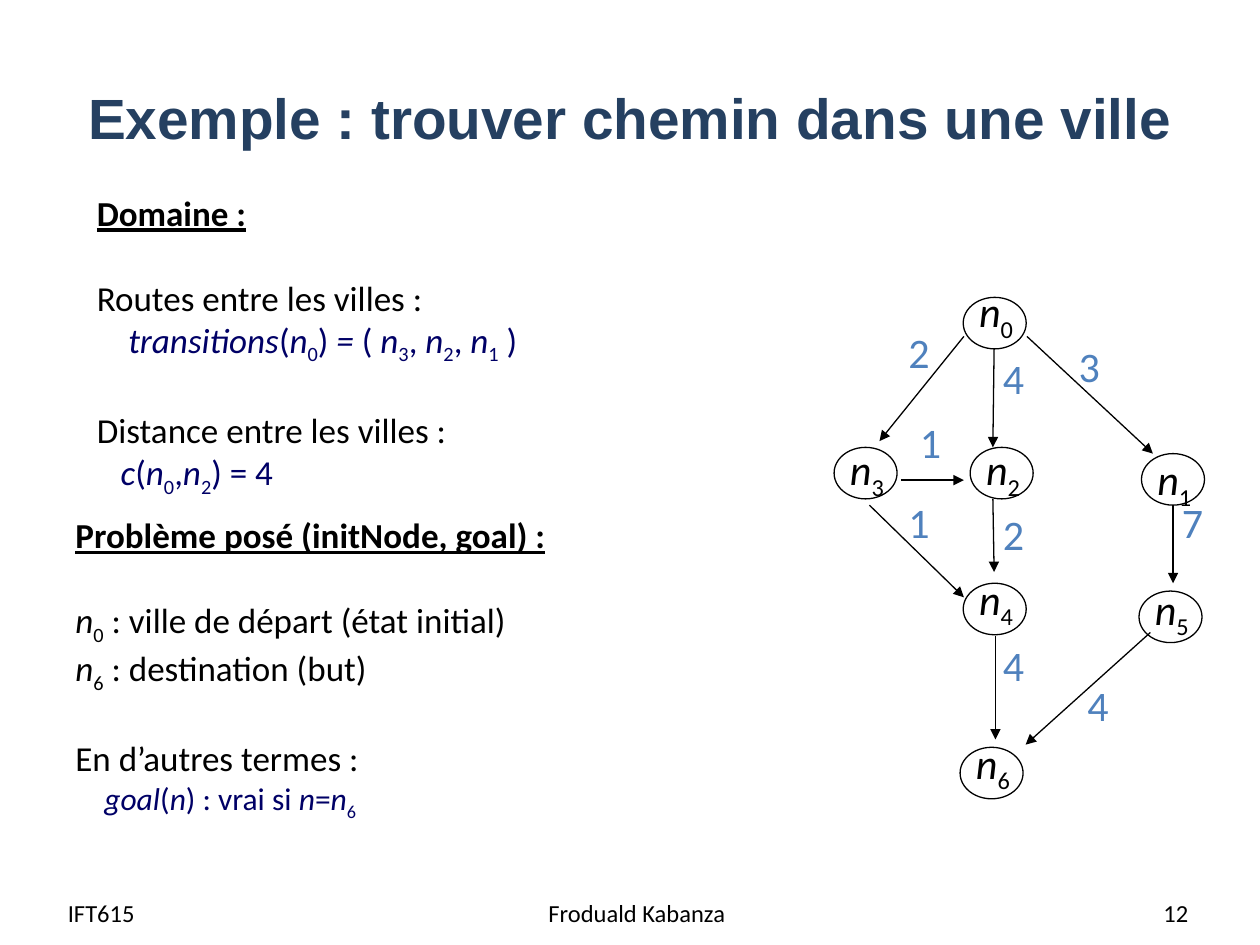
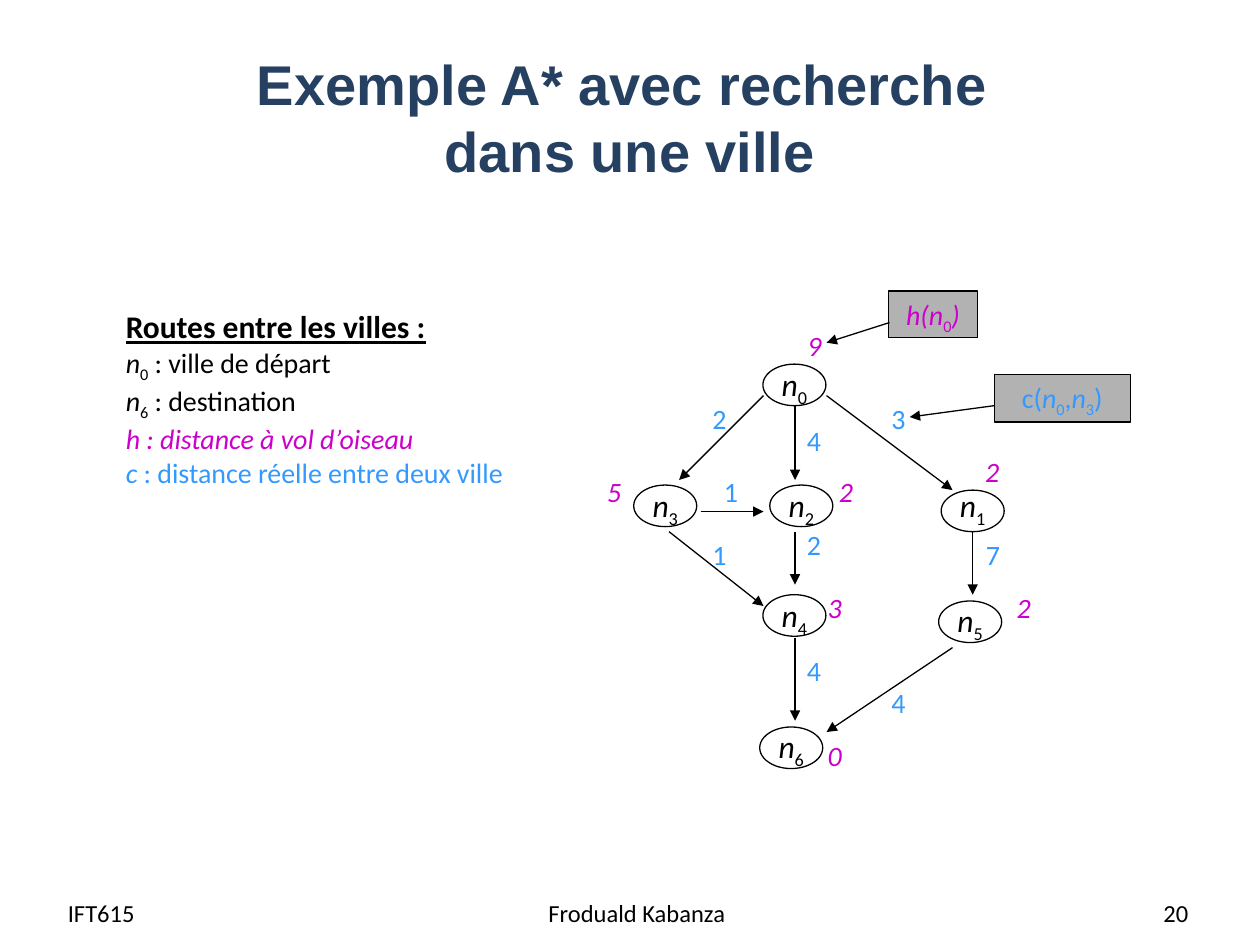
from dataclasses import dataclass

from lxml.etree import SubElement
from pptx import Presentation
from pptx.dml.color import RGBColor
from pptx.enum.shapes import MSO_CONNECTOR, MSO_SHAPE
from pptx.enum.text import MSO_ANCHOR, MSO_AUTO_SIZE, PP_ALIGN
from pptx.oxml.ns import qn
from pptx.util import Inches, Pt

COLUMNS, ROWS = 100, 75
CELL = Inches(0.1)
COLORS = {
    "title": "254061",
    "text": "000000",
    "formula": "000066",
    "road": "4F81BD",
    "cost": "3399FF",
    "heuristic": "CC00CC",
    "callout": "B2B2B2",
}

NODE_SPOTS = {
    "0": (10.25, 0), "3": (0, 9.6), "2": (10.8, 9.6), "1": (24.4, 10),
    "4": (10.25, 18.3), "6": (10, 28.8), "5": (24.2, 18.8),
}
NODE_WIDTH, NODE_HEIGHT = 5, 3.3
EDGES = {
    "02": (12.8, 3.3, 12.8, 9.2),
    "01": (15.3, 2.5, 25.3, 10),
    "03": (10.3, 2.5, 3.6, 9.2),
    "32": (5.3, 11.7, 10.3, 11.7),
    "34": (2.8, 13.3, 10.3, 19.2),
    "24": (12.8, 13.3, 12.8, 17.5),
    "46": (12.8, 21.7, 12.8, 28.3),
    "15": (26.9, 13.3, 26.9, 18.3),
    "56": (25.3, 22.5, 15.3, 29.2),
}
EDGE_COSTS = {"03": "2", "01": "3", "32": "1", "34": "1", "15": "7",
              "24": "2", "46": "4", "56": "4", "02": "4"}


@dataclass
class Box:
    left: float
    top: float
    width: float
    height: float

    def inside(self, x, y, width, height):
        return Box(self.left + x, self.top + y, width, height)

    def lengths(self):
        return [round(v * CELL) for v in (self.left, self.top, self.width, self.height)]


def rgb(name):
    return RGBColor.from_string(COLORS[name])


def add_piece(paragraph, text, size, color, font, bold, underline, italic, lowered):
    if not text:
        return
    run = paragraph.add_run()
    run.text = text
    run.font.size = Pt(size)
    run.font.name = font
    run.font.bold = bold
    run.font.italic = italic
    run.font.underline = underline
    run.font.color.rgb = rgb(color)
    if lowered:
        run._r.get_or_add_rPr().set("baseline", "-25000")


def format_line(paragraph, text, size=16, color="text", font="Calibri", bold=False,
                underline=False, align=PP_ALIGN.LEFT, indent=0, gap=0):
    paragraph.alignment = align
    if indent:
        paragraph._p.get_or_add_pPr().set("marL", str(Inches(indent)))
    if gap:
        paragraph.space_before = Pt(gap)
    look = (size, color, font, bold, underline)
    for row, part in enumerate(text.split("\n")):
        if row:
            paragraph.add_line_break()
        for turn, phrase in enumerate(part.split("/")):
            italic = turn % 2 == 1
            start, *tails = phrase.split("_")
            add_piece(paragraph, start, *look, italic, False)
            for tail in tails:
                add_piece(paragraph, tail[0], *look, False, True)
                add_piece(paragraph, tail[1:], *look, italic, False)


def write(frame, lines, wrap=True, grow=True, anchor=MSO_ANCHOR.TOP, **style):
    frame.word_wrap = wrap
    frame.auto_size = MSO_AUTO_SIZE.SHAPE_TO_FIT_TEXT if grow else MSO_AUTO_SIZE.NONE
    frame.vertical_anchor = anchor
    for row, (text, changes) in enumerate(lines):
        paragraph = frame.add_paragraph() if row else frame.paragraphs[0]
        format_line(paragraph, text, **{**style, **changes})


def add_text(slide, box, lines, **style):
    if isinstance(lines, str):
        lines = [(lines, {})]
    write(slide.shapes.add_textbox(*box.lengths()).text_frame, lines, **style)


def add_mark(slide, box, text, **style):
    add_text(slide, box, text, wrap=False, align=PP_ALIGN.CENTER, **style)


def add_outline(slide, kind, box, fill=None):
    shape = slide.shapes.add_shape(kind, *box.lengths())
    shape.shadow.inherit = False
    if fill:
        shape.fill.solid()
        shape.fill.fore_color.rgb = rgb(fill)
    else:
        shape.fill.background()
    shape.line.color.rgb = rgb("text")
    shape.line.width = Pt(0.75)
    return shape


def add_arrow(slide, box, x1, y1, x2, y2):
    ends = (box.left + x1, box.top + y1, box.left + x2, box.top + y2)
    arrow = slide.shapes.add_connector(MSO_CONNECTOR.STRAIGHT, *[round(v * CELL) for v in ends])
    arrow.line.color.rgb = rgb("text")
    arrow.line.width = Pt(0.75)
    SubElement(arrow.line._get_or_add_ln(), qn("a:tailEnd"), type="triangle")
    SubElement(arrow._element.spPr, qn("a:effectLst"))


def add_graph(slide, box, label_drops, cost_spots, label_size, label_width, label_shift,
              cost_size, cost_width, cost_color, stretch=1, edge_changes=None):
    label_height, cost_height = label_size / 4.8 + 0.1, cost_size / 6 + 1
    for node, (x, y) in NODE_SPOTS.items():
        place = box.inside(x, y * stretch, NODE_WIDTH, NODE_HEIGHT * stretch)
        add_outline(slide, MSO_SHAPE.OVAL, place)
        label_left = (NODE_WIDTH - label_width) / 2 + label_shift
        add_mark(slide, place.inside(label_left, label_drops[node], label_width, label_height),
                 f"/n/_{node}", size=label_size)
    stretched = {edge: (x1, y1 * stretch, x2, y2 * stretch)
                 for edge, (x1, y1, x2, y2) in EDGES.items()}
    for ends in {**stretched, **(edge_changes or {})}.values():
        add_arrow(slide, box, *ends)
    for edge, cost in EDGE_COSTS.items():
        add_mark(slide, box.inside(*cost_spots[edge], cost_width, cost_height), cost,
                 size=cost_size, color=cost_color)


def add_heuristics(slide, box):
    spots = [("9", 12.5, -3.3), ("2", 26.6, 6.7), ("3", 14.1, 17.5), ("2", 29.1, 17.5),
             ("2", 15, 8.3), ("5", -3.4, 8.3), ("0", 14.1, 29.2)]
    for value, x, y in spots:
        add_mark(slide, box.inside(x, y, 3.7, 3.7), f"/{value}/", size=16, color="heuristic")


def add_callouts(slide, box):
    callouts = [
        ("/h(n/_0/)/", "heuristic", (20.2, -5.8, 7.1, 3.7), (20.3, -3.3, 15.3, -1.7)),
        ("c(/n/_0,/n/_3)", "cost", (28.6, 0.8, 10.8, 3.8), (28.6, 3.3, 21.9, 4.2)),
    ]
    for text, color, place, pointer in callouts:
        panel = add_outline(slide, MSO_SHAPE.RECTANGLE, box.inside(*place), "callout")
        write(panel.text_frame, [(text, {})], size=16, color=color, align=PP_ALIGN.CENTER)
        add_arrow(slide, box, *pointer)


def add_frame(slide, page, title, number, title_size):
    add_text(slide, page.inside(5, 3, 90, 12.5), title, size=title_size, color="title",
             font="Arial", bold=True, align=PP_ALIGN.CENTER, grow=False,
             anchor=MSO_ANCHOR.MIDDLE)
    footers = [("IFT615", 4.4, 19.3, PP_ALIGN.LEFT),
               ("Froduald Kabanza", 34.7, 31.7, PP_ALIGN.CENTER),
               (str(number), 72, 23.3, PP_ALIGN.RIGHT)]
    for text, x, width, align in footers:
        add_text(slide, page.inside(x, 70.4, width, 4), text, size=14, align=align,
                 grow=False, anchor=MSO_ANCHOR.MIDDLE)


def build_path_slide(slide, page):
    add_frame(slide, page, "Exemple : trouver chemin dans une ville", 12, 32.4)
    heading = {"bold": True, "underline": True}
    section = {"gap": 24.4}
    add_text(slide, page.inside(6.7, 14.7, 49.3, 24.6), [
        ("Domaine :", heading),
        ("Routes entre les villes :", section),
        ("/transitions/(/n/_0)/ =/ ( /n/_3, /n/_2, /n/_1 )", {"color": "formula", "indent": 0.25}),
        ("Distance entre les villes :", section),
        ("/c/(/n/_0,/n/_2) = 4", {"color": "formula", "indent": 0.19}),
    ], size=20)
    add_text(slide, page.inside(5, 40.3, 44.2, 24.6), [
        ("Problème posé (initNode, goal) :", heading),
        ("/n/_0 : ville de départ (état initial)", section),
        ("/n/_6 : destination (but)", {}),
        ("En d’autres termes :", section),
        ("/goal/(/n/) : vrai si /n/=/n/_6", {"color": "formula", "size": 18, "indent": 0.23}),
    ], size=20)
    add_graph(
        slide, page.inside(66.2, 23.6, 29.4, 40),
        {"0": -1.4, "3": -0.8, "2": -0.8, "1": -0.5, "4": -1.3, "6": -1.3, "5": -1.1},
        {"03": (4.9, 1.8), "01": (18.4, 2.9), "32": (5.8, 9), "34": (4.9, 15.3),
         "15": (26.6, 15.3), "24": (12.4, 16.3), "46": (12.4, 26.7), "56": (19.1, 29.8),
         "02": (12.4, 3.9)},
        label_size=24, label_width=5.2, label_shift=0.1,
        cost_size=24, cost_width=3.7, cost_color="road", stretch=1.24,
        edge_changes={"02": (12.7, 4.1, 12.6, 11.9), "24": (12.6, 16, 12.7, 21.8),
                      "56": (25.1, 26.6, 15.2, 35.5)})


def build_a_star_slide(slide, page):
    add_frame(slide, page, "Exemple A* avec recherche \ndans une ville", 20, 32)
    graph = page.inside(50.3, 28.9, 29.4, 32.1)
    add_graph(
        slide, graph,
        {"0": -0.4, "3": -0.4, "2": -0.4, "1": -0.8, "4": -0.4, "6": -0.5, "5": -0.5},
        {"03": (5.2, 2.5), "01": (19.4, 2.5), "32": (6.1, 8.3), "34": (5.2, 13.3),
         "15": (26.9, 13.3), "24": (12.7, 12.5), "46": (12.7, 22.5), "56": (19.4, 25),
         "02": (12.7, 4.2)},
        label_size=18, label_width=4.4, label_shift=0,
        cost_size=16, cost_width=3.2, cost_color="cost")
    add_heuristics(slide, graph)
    add_callouts(slide, graph)
    add_text(slide, page.inside(9, 23.9, 32.7, 14.8), [
        ("Routes entre les villes :", {"size": 18, "bold": True, "underline": True}),
        ("/n/_0 : ville de départ", {}),
        ("/n/_6 : destination", {}),
        ("/h : distance à vol d’oiseau/", {"color": "heuristic"}),
        ("/c/ : distance réelle entre deux ville", {"color": "cost"}),
    ], size=16, wrap=False)


def main():
    deck = Presentation()
    deck.slide_width, deck.slide_height = COLUMNS * CELL, ROWS * CELL
    page = Box(0, 0, COLUMNS, ROWS)
    for build in (build_path_slide, build_a_star_slide):
        build(deck.slides.add_slide(deck.slide_layouts[6]), page)
    deck.save("out.pptx")


if __name__ == "__main__":
    main()
